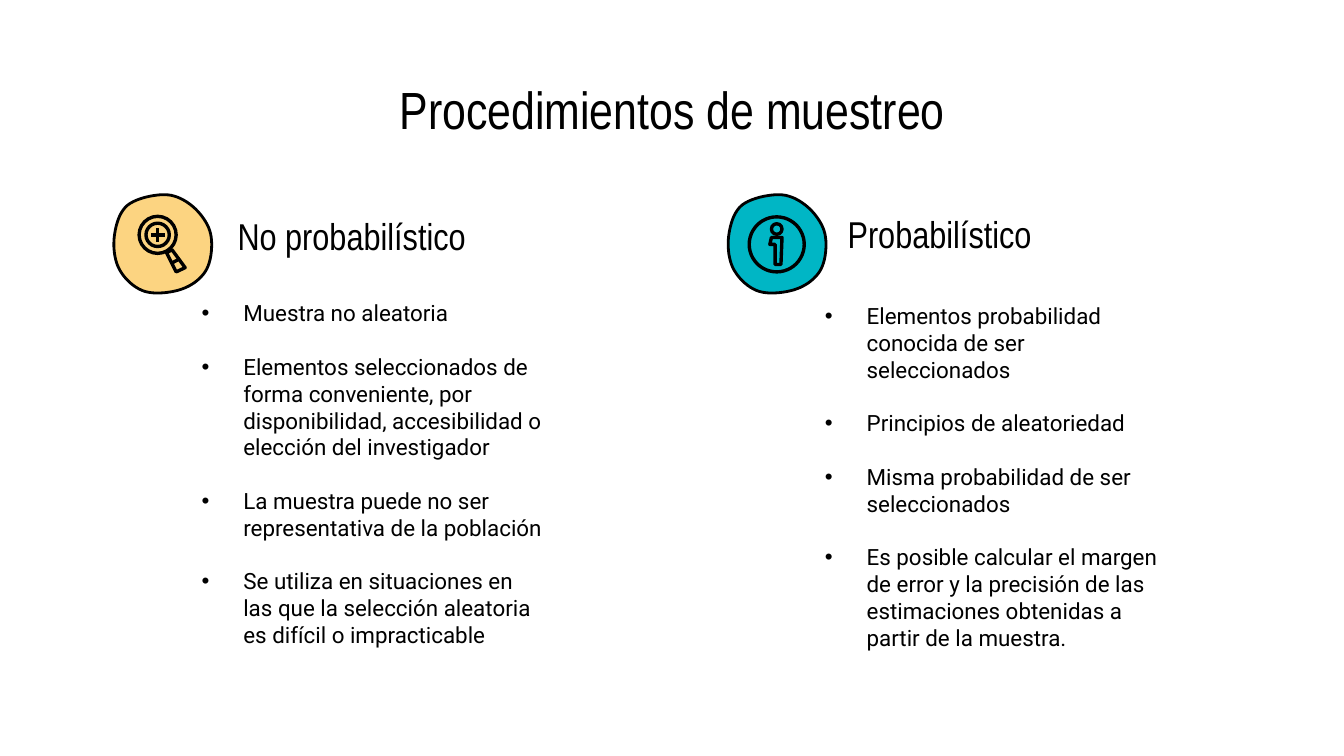
from lxml.etree import SubElement
from pptx import Presentation
from pptx.dml.color import RGBColor
from pptx.enum.shapes import MSO_CONNECTOR, MSO_SHAPE
from pptx.enum.text import MSO_ANCHOR as Anchor, PP_ALIGN as Align
from pptx.oxml.ns import qn
from pptx.util import Cm, Pt

BLACK = RGBColor(0x00, 0x00, 0x00)
YELLOW = RGBColor(0xFC, 0xD4, 0x81)
TEAL = RGBColor(0x00, 0xB6, 0xC5)
HEADING_FONT = "Arial Narrow"
BODY_FONT = "Roboto"
INSET = Cm(0.25)
BULLET_INDENT = Cm(0.79)
ICON_LINE = 1.8

BADGE_POINTS = [(0.99, 0), (1.52, 0.23), (1.85, 0.74), (1.78, 1.4), (1.32, 1.78),
                (0.61, 1.83), (0.13, 1.42), (0.03, 0.79), (0.28, 0.2)]
HANDLE_POINTS = [(1.02, 1.1), (1.2, 1.46), (1.37, 1.38), (1.12, 1.04)]
STEM_POINTS = [(0.84, 0.81), (1.04, 0.81), (1.02, 1.32),
               (0.91, 1.32), (0.91, 0.94), (0.81, 0.94)]


def smooth_outline(points, steps=10):
    outline = []
    for index in range(len(points)):
        a, b, c, d = (points[(index + shift) % len(points)] for shift in (-1, 0, 1, 2))
        for step in range(steps):
            t = step / steps
            outline.append(tuple(
                0.5 * (2 * q + (r - p) * t + (2 * p - 5 * q + 4 * r - s) * t ** 2
                       + (3 * q - p - 3 * r + s) * t ** 3)
                for p, q, r, s in zip(a, b, c, d)))
    return outline


def style_shape(shape, width, color=None):
    shape.shadow.inherit = False
    if color is None:
        shape.fill.background()
    else:
        shape.fill.solid()
        shape.fill.fore_color.rgb = color
    shape.line.color.rgb = BLACK
    shape.line.width = Pt(width)


def add_outline(slide, left, top, points, width=ICON_LINE, color=None):
    corners = [(Cm(left + x), Cm(top + y)) for x, y in points]
    builder = slide.shapes.build_freeform(*corners[0])
    builder.add_line_segments(corners[1:], close=True)
    style_shape(builder.convert_to_shape(), width, color)


def add_ring(slide, center_x, center_y, radius):
    ring = slide.shapes.add_shape(MSO_SHAPE.OVAL, Cm(center_x - radius), Cm(center_y - radius),
                                  Cm(2 * radius), Cm(2 * radius))
    style_shape(ring, ICON_LINE)


def add_stroke(slide, x1, y1, x2, y2):
    stroke = slide.shapes.add_connector(MSO_CONNECTOR.STRAIGHT, Cm(x1), Cm(y1), Cm(x2), Cm(y2))
    stroke.line.color.rgb = BLACK
    stroke.line.width = Pt(ICON_LINE)
    SubElement(stroke._element.spPr, qn("a:effectLst"))


def draw_magnifier(slide, left, top):
    center_x, center_y, arm = left + 0.85, top + 0.76, 0.13
    for radius in (0.35, 0.22):
        add_ring(slide, center_x, center_y, radius)
    add_stroke(slide, center_x - arm, center_y, center_x + arm, center_y)
    add_stroke(slide, center_x, center_y - arm, center_x, center_y + arm)
    add_outline(slide, left, top, HANDLE_POINTS)
    add_stroke(slide, left + 1.12, top + 1.29, left + 1.27, top + 1.21)


def draw_info(slide, left, top):
    add_ring(slide, left + 0.94, top + 0.94, 0.52)
    add_ring(slide, left + 0.94, top + 0.65, 0.1)
    add_outline(slide, left, top, STEM_POINTS)


def add_text_frame(slide, box, anchor=Anchor.TOP):
    frame = slide.shapes.add_textbox(*(Cm(length) for length in box)).text_frame
    frame.word_wrap = True
    frame.vertical_anchor = anchor
    frame.margin_left = frame.margin_right = INSET
    frame.margin_top = frame.margin_bottom = INSET
    return frame


def add_run(paragraph, text, font, size):
    run = paragraph.add_run()
    run.text = text
    run.font.name = font
    run.font.size = Pt(size)
    run.font.color.rgb = BLACK


def add_title(slide, box, text):
    paragraph = add_text_frame(slide, box).paragraphs[0]
    paragraph.alignment = Align.CENTER
    add_run(paragraph, text, HEADING_FONT, 28)


def set_bullet(paragraph):
    properties = paragraph._p.get_or_add_pPr()
    properties.set("marL", str(BULLET_INDENT))
    properties.set("indent", str(-BULLET_INDENT))
    color = SubElement(properties, qn("a:buClr"))
    SubElement(color, qn("a:srgbClr"), val=str(BLACK))
    SubElement(properties, qn("a:buFont"), typeface="Arial")
    SubElement(properties, qn("a:buChar"), char="•")


def add_bullets(slide, box, items):
    frame = add_text_frame(slide, box)
    for index, item in enumerate(items):
        paragraph = frame.add_paragraph() if index else frame.paragraphs[0]
        if index:
            paragraph.space_before = Pt(14.3)
        set_bullet(paragraph)
        add_run(paragraph, item, BODY_FONT, 12)


def add_column(slide, left, top, color, draw_icon, heading, heading_offset, items, list_offset):
    heading_x, heading_y = heading_offset
    heading_box = (left + heading_x, top + heading_y, 8.38, 0.94)
    frame = add_text_frame(slide, heading_box, Anchor.MIDDLE)
    add_run(frame.paragraphs[0], heading, HEADING_FONT, 20)
    add_outline(slide, left, top, smooth_outline(BADGE_POINTS), 1.5, color)
    draw_icon(slide, left, top)
    list_x, list_y = list_offset
    add_bullets(slide, (left + list_x, top + list_y, 6.96, 1.45), items)


def main():
    presentation = Presentation()
    presentation.slide_width = Cm(25.4)
    presentation.slide_height = Cm(14.29)
    slide = presentation.slides.add_slide(presentation.slide_layouts[6])

    add_title(slide, (1.27, 1.22, 22.86, 1.6), "Procedimientos de muestreo")
    add_column(slide, 2.13, 3.68, YELLOW, draw_magnifier, "No probabilístico", (2.11, 0.3), [
        "Muestra no aleatoria",
        "Elementos seleccionados de forma conveniente, por disponibilidad, "
        "accesibilidad o elección del investigador",
        "La muestra puede no ser representativa de la población",
        "Se utiliza en situaciones en las que la selección aleatoria es difícil o impracticable",
    ], (1.43, 1.73))
    add_column(slide, 13.74, 3.68, TEAL, draw_info, "Probabilístico", (2.03, 0.26), [
        "Elementos probabilidad conocida de ser seleccionados",
        "Principios de aleatoriedad",
        "Misma probabilidad de ser seleccionados",
        "Es posible calcular el margen de error y la precisión de las estimaciones "
        "obtenidas a partir de la muestra.",
    ], (1.6, 1.78))
    presentation.save("out.pptx")


if __name__ == "__main__":
    main()
